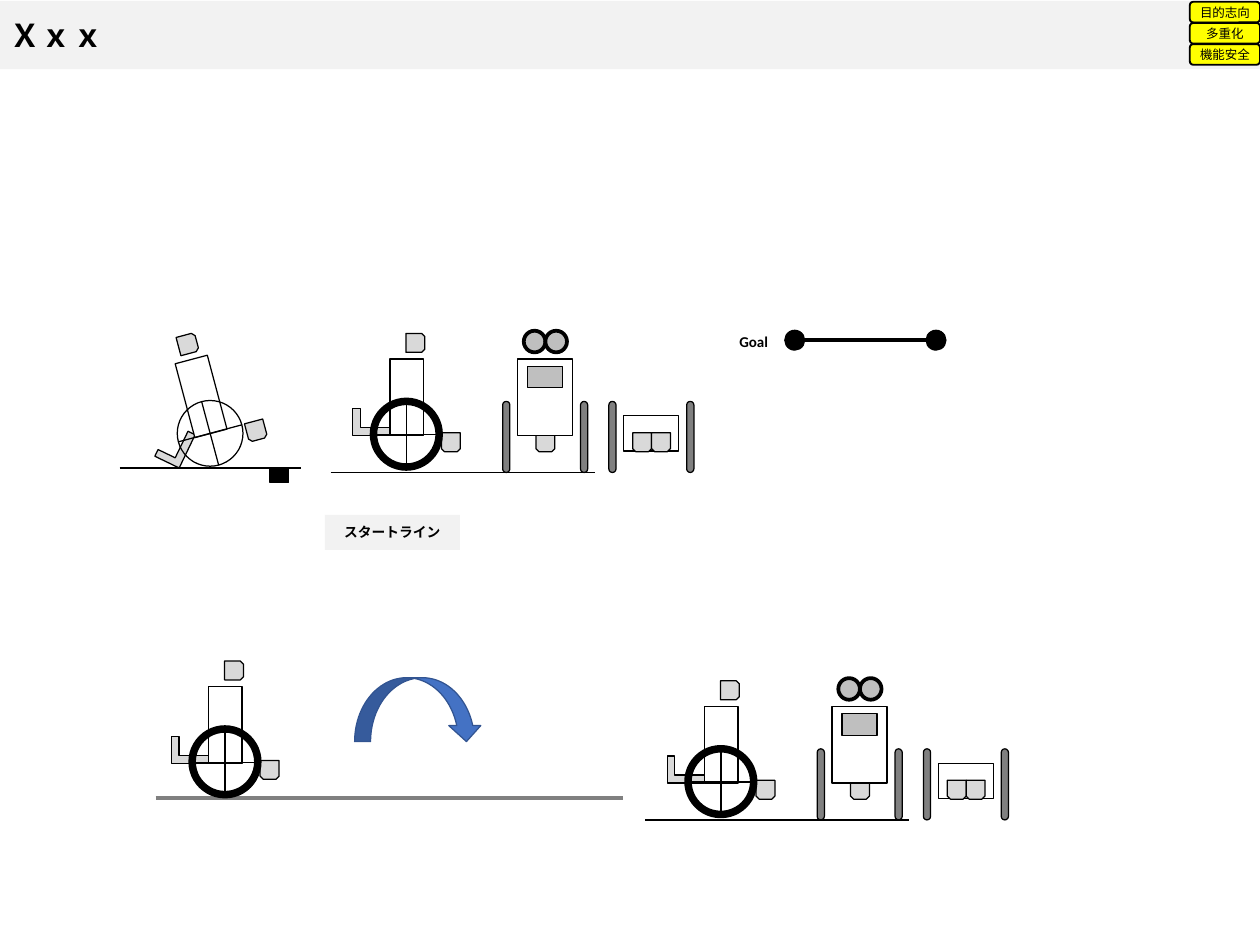
from dataclasses import dataclass

from lxml import etree
from pptx import Presentation
from pptx.dml.color import RGBColor
from pptx.enum.shapes import MSO_CONNECTOR, MSO_SHAPE
from pptx.enum.text import MSO_ANCHOR, MSO_AUTO_SIZE, PP_ALIGN
from pptx.oxml.ns import qn
from pptx.util import Inches, Pt

RECT, ROUND = MSO_SHAPE.RECTANGLE, MSO_SHAPE.ROUNDED_RECTANGLE
OVAL, CORNER = MSO_SHAPE.OVAL, MSO_SHAPE.CORNER
SNIP, ARC_ARROW = MSO_SHAPE.SNIP_2_SAME_RECTANGLE, MSO_SHAPE.CURVED_DOWN_ARROW
STRAIGHT = MSO_CONNECTOR.STRAIGHT
LEFT, CENTER = PP_ALIGN.LEFT, PP_ALIGN.CENTER
MIDDLE, TOP = MSO_ANCHOR.MIDDLE, MSO_ANCHOR.TOP
NO_FIT = MSO_AUTO_SIZE.NONE

FONT = "Calibri"
BLACK, WHITE, YELLOW = "000000", "FFFFFF", "FFFF00"
PALE, LIGHT, SILVER, GRAY = "F2F2F2", "D9D9D9", "BFBFBF", "808080"
BLUE, NAVY = "4472C4", "325491"

# All lengths below are columns and rows of a square grid on the slide.
COLUMNS, ROWS = 140, 105
CELL = Inches(14) / COLUMNS
LEG_BEND = (0.294, 0.276)
TILT = 345.1


@dataclass(frozen=True)
class Part:
    kind: int
    x: float
    y: float
    w: float
    h: float
    fill: str | None = LIGHT
    line: str | None = BLACK
    weight: float = 1
    rotation: float = 0
    flipped: bool = False
    adjust: tuple = ()


@dataclass(frozen=True)
class Stroke:
    x1: float
    y1: float
    x2: float
    y2: float
    color: str = BLACK
    weight: float = 1


def cells(*values: float) -> list[int]:
    return [round(v * CELL) for v in values]


def paint(target, color: str | None) -> None:
    if color is None:
        target.background()
    else:
        target.solid()
        target.fore_color.rgb = RGBColor.from_string(color)


def draw_part(shapes, part: Part, x: float = 0, y: float = 0):
    s = shapes.add_shape(part.kind, *cells(x + part.x, y + part.y, part.w, part.h))
    s.shadow.inherit = False
    paint(s.fill, part.fill)
    paint(s.line.fill, part.line)
    if part.line:
        s.line.width = Pt(part.weight)
    s.rotation = part.rotation
    if part.flipped:
        s._element.spPr.find(qn("a:xfrm")).set("flipV", "1")
    for i, value in enumerate(part.adjust):
        s.adjustments[i] = value
    return s


def draw_stroke(shapes, stroke: Stroke, x: float = 0, y: float = 0) -> None:
    c = shapes.add_connector(
        STRAIGHT, *cells(x + stroke.x1, y + stroke.y1, x + stroke.x2, y + stroke.y2))
    paint(c.line.fill, stroke.color)
    c.line.width = Pt(stroke.weight)
    etree.SubElement(c._element.spPr, qn("a:effectLst"))


def draw_group(shapes, parts: list, x: float = 0, y: float = 0):
    group = shapes.add_group_shape()
    for part in parts:
        draw = draw_part if isinstance(part, Part) else draw_stroke
        draw(group.shapes, part, x, y)
    return group


def write(s, text: str, size: float, bold: bool = False, align=CENTER,
          anchor=MIDDLE, wrap: bool = True, inset: float = 1) -> None:
    tf = s.text_frame
    tf.auto_size = NO_FIT
    tf.word_wrap = wrap
    tf.vertical_anchor = anchor
    tf.margin_left, tf.margin_right = cells(inset, inset)
    tf.margin_top, tf.margin_bottom = cells(inset / 2, inset / 2)
    p = tf.paragraphs[0]
    p.alignment = align
    r = p.add_run()
    r.text = text
    r.font.name, r.font.size, r.font.bold = FONT, Pt(size), bold
    r.font.color.rgb = RGBColor.from_string(BLACK)


def caster(x: float, y: float, rotation: float = 0) -> Part:
    return Part(SNIP, x, y, 2.1, 2.1, rotation=rotation, flipped=True)


def tyres(gap: float) -> list[Part]:
    return [Part(ROUND, x, 0, 0.8, 7.9, GRAY, adjust=(0.5,)) for x in (0, gap)]


# Each upright view is measured from the top left of its left wheel.
SIDE_VIEW = [
    caster(7.55, 3.5),
    Part(CORNER, -2.3, 0.8, 4.1, 3, adjust=LEG_BEND),
    Part(RECT, 1.85, -4.7, 3.7, 8.5, WHITE),
    Part(OVAL, 0, 0, 7.3, 7.3, None, weight=6),
    Stroke(0, 3.7, 7.3, 3.7),
    Stroke(3.65, 0, 3.65, 7.35),
    caster(3.6, -7.55, 270),
]
FRONT_VIEW = [
    caster(3.7, 3.5),
    Part(RECT, 1.65, -4.7, 6.1, 8.5, WHITE),
    Part(RECT, 2.75, -3.9, 3.9, 2.4, SILVER),
    *[Part(OVAL, x, -7.85, 2.4, 2.4, SILVER, weight=3) for x in (2.35, 4.75)],
    *tyres(8.65),
]
TOP_VIEW = [
    Part(RECT, 1.65, 1.6, 6.1, 3.9, WHITE, rotation=180),
    *tyres(8.65),
    *[caster(x, 3.5) for x in (2.65, 4.75)],
]
TILTED_VIEW = [
    Part(CORNER, 17.4, 48, 4.1, 3, rotation=295.7, adjust=LEG_BEND),
    Stroke(13.3, 52, 33.4, 52),
    Part(RECT, 20.5, 39.8, 3.7, 8.5, WHITE, rotation=TILT),
    Part(OVAL, 19.7, 44.5, 7.3, 7.3, None, rotation=TILT),
    Stroke(19.8, 49.1, 26.9, 47.2),
    Stroke(22.4, 44.6, 24.3, 51.7),
    caster(27.4, 46.8, TILT),
    caster(19.8, 37.2, TILT - 90),
    Part(RECT, 30, 52, 2.1, 1.6, BLACK),
]
GOAL = [
    *[Part(OVAL, x, 36.7, 2.2, 2.2, BLACK) for x in (87.2, 102.9)],
    Stroke(88.2, 37.8, 104.3, 37.8, weight=3),
]
THREE_VIEWS = [(0, SIDE_VIEW), (14.35, FRONT_VIEW), (26.15, TOP_VIEW)]
GROUND = Stroke(-4.75, 7.9, 24.6, 7.9)
BADGES = ["目的志向", "多重化", "機能安全"]


def main() -> None:
    prs = Presentation()
    prs.slide_width, prs.slide_height = cells(COLUMNS, ROWS)
    slide = prs.slides.add_slide(prs.slide_layouts[5])
    shapes = slide.shapes

    title = shapes.title
    title.left, title.top, title.width, title.height = cells(0, 0.1, COLUMNS, 7.6)
    paint(title.fill, PALE)
    write(title, "Ｘｘｘ", 25.2, bold=True, align=LEFT)

    start = draw_part(shapes, Part(RECT, 36.1, 57.2, 15, 3.9, PALE, None))
    write(start, "スタートライン", 11, bold=True)

    draw_group(shapes, TILTED_VIEW)
    for x, y in [(41.5, 44.6), (76.45, 83.2)]:
        draw_stroke(shapes, GROUND, x, y)
        for offset, view in THREE_VIEWS:
            draw_group(shapes, view, x + offset, y)

    draw_stroke(shapes, Stroke(17.3, 88.7, 69.2, 88.7, GRAY, 3))
    draw_group(shapes, SIDE_VIEW, 21.35, 81)
    draw_part(shapes, Part(ARC_ARROW, 39.4, 75.3, 14.2, 7.1, BLUE, NAVY))

    goal = draw_group(shapes, GOAL)
    label = goal.shapes.add_textbox(*cells(80.9, 36.4, 5.7, 2.9))
    write(label, "Goal", 12, bold=True, anchor=TOP, wrap=False)

    badges = shapes.add_group_shape()
    for i, text in enumerate(BADGES):
        part = Part(ROUND, 132.2, 0.2 + 2.35 * i, 7.8, 2.3, YELLOW, weight=1.5)
        write(draw_part(badges.shapes, part), text, 10, inset=0)

    prs.save("out.pptx")


if __name__ == "__main__":
    main()
